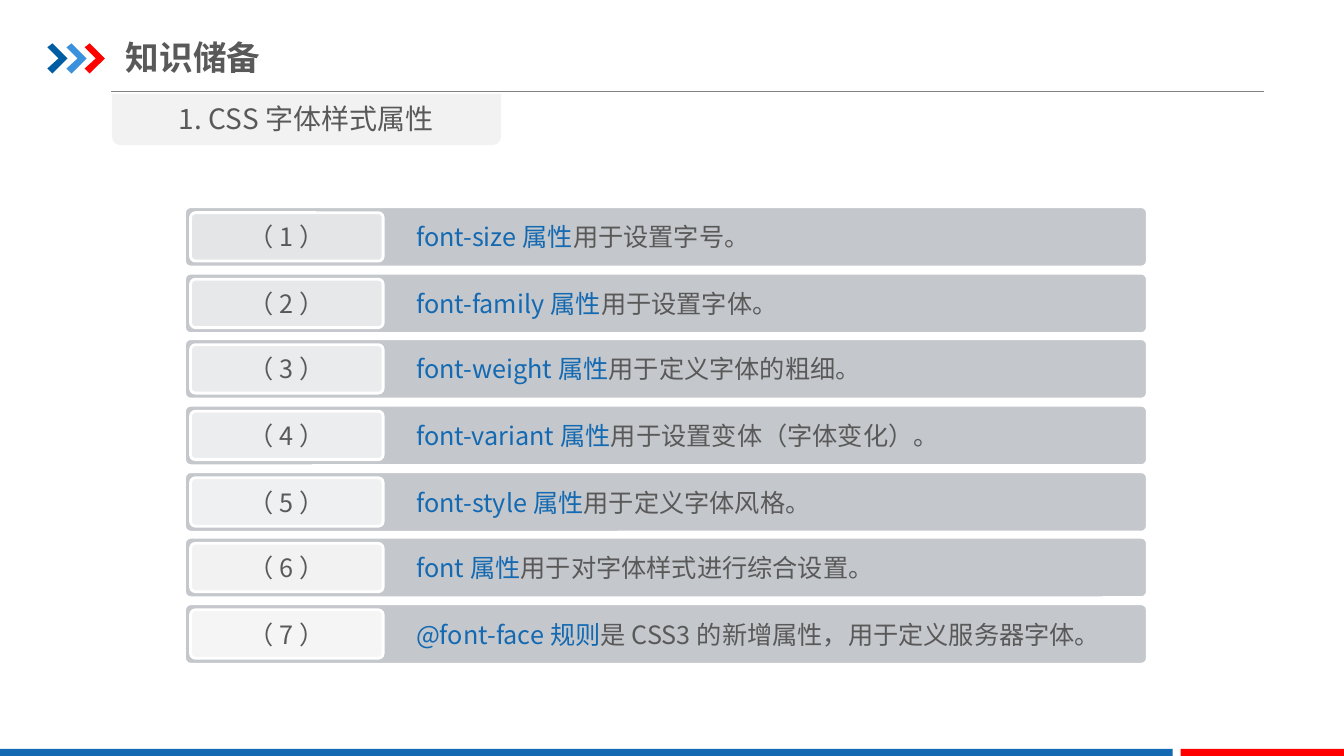
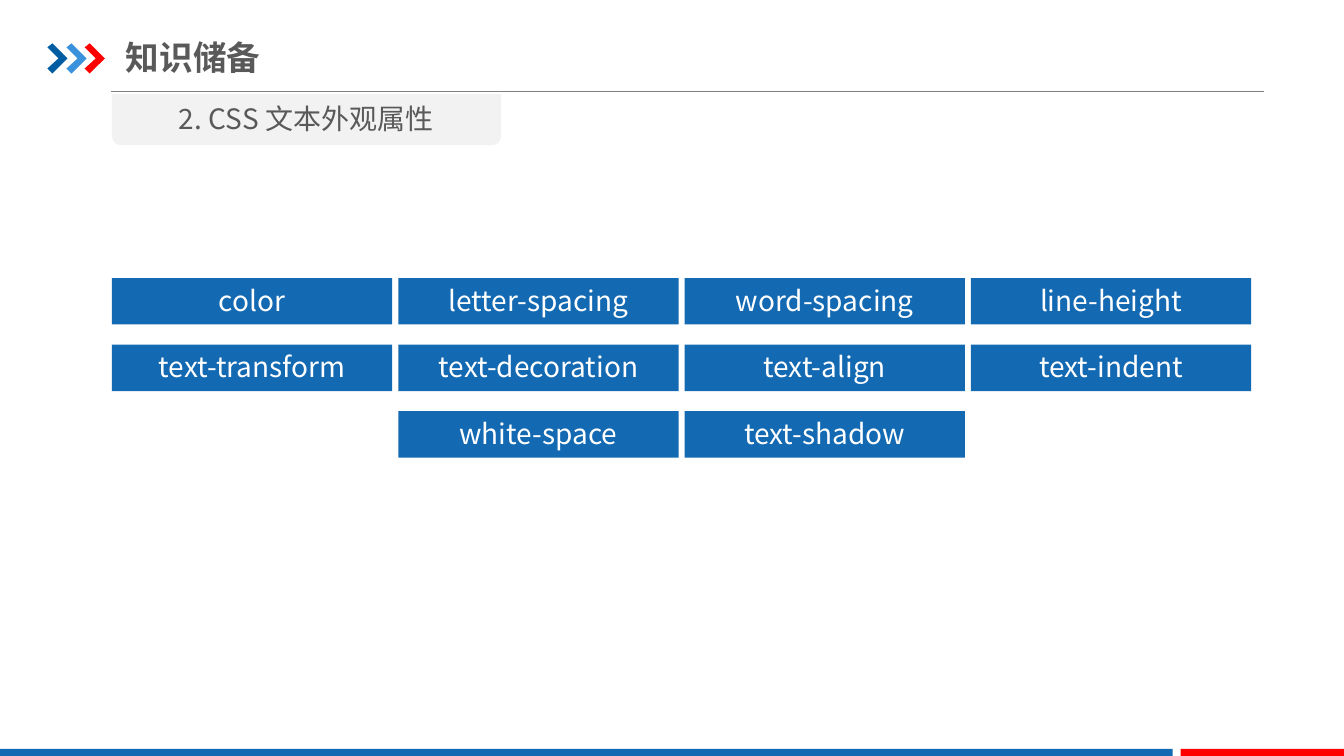
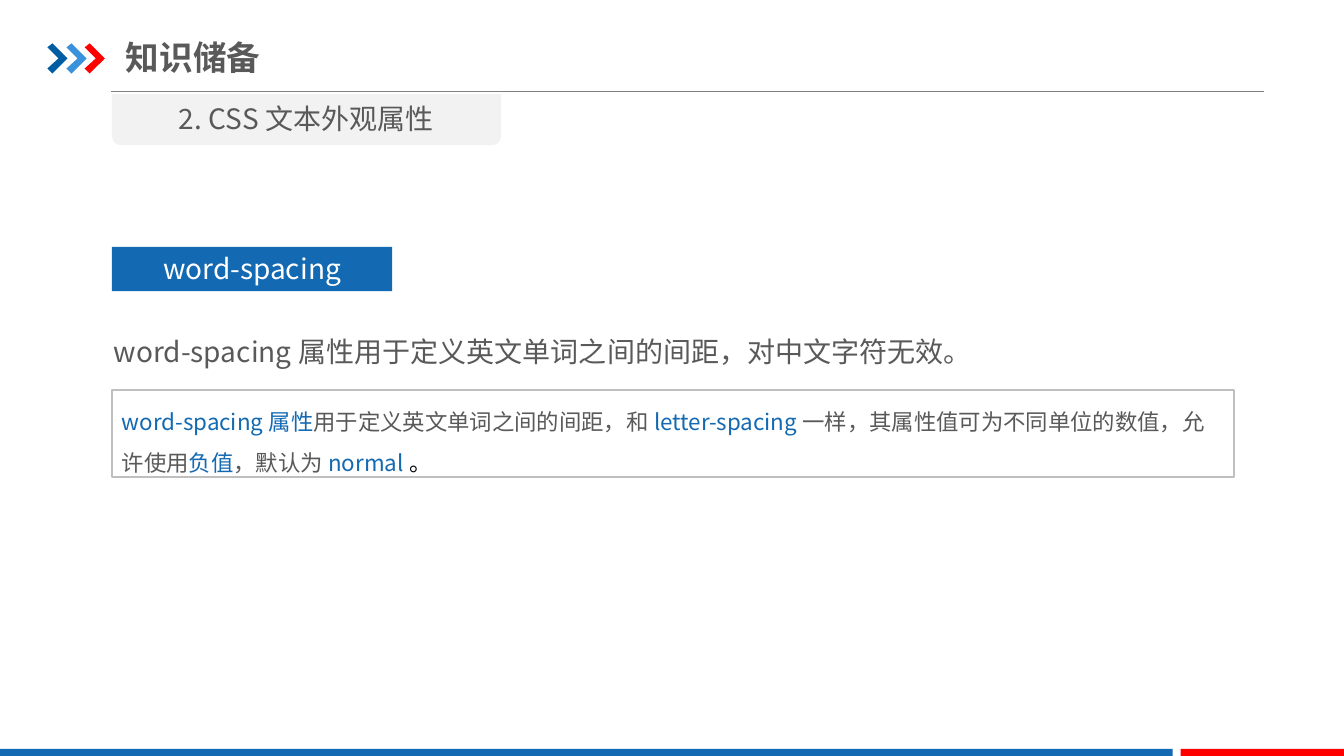
from dataclasses import dataclass

from lxml.etree import SubElement
from pptx import Presentation
from pptx.dml.color import RGBColor
from pptx.enum.shapes import MSO_CONNECTOR, MSO_SHAPE
from pptx.enum.text import MSO_ANCHOR, PP_ALIGN
from pptx.oxml.ns import qn
from pptx.util import Pt

PX = 9144


@dataclass(frozen=True)
class Theme:
    """Colours, font and type sizes shared by every slide."""
    font: str = "Noto Sans CJK SC"
    blue: str = "1369B2"
    navy: str = "005DA2"
    sky: str = "3992DB"
    red: str = "FF0000"
    ink: str = "595959"
    black: str = "000000"
    white: str = "FFFFFF"
    rule: str = "808080"
    border: str = "BFBFBF"
    tab: str = "F2F2F2"
    bar: str = "C4C7CB"
    badges: tuple = ("E4E5E7", "E7E8E9", "EAEBEC", "ECEDEE", "EFF0F1", "F2F2F3", "F5F5F6")
    title: int = 24
    heading: int = 20
    body: int = 18
    note: int = 16


T = Theme()

FONT_RULES = (
    ("font-size属性", "用于设置字号。"),
    ("font-family属性", "用于设置字体。"),
    ("font-weight属性", "用于定义字体的粗细。"),
    ("font-variant属性", "用于设置变体（字体变化）。"),
    ("font-style属性", "用于定义字体风格。"),
    ("font属性", "用于对字体样式进行综合设置。"),
    ("@font-face规则", "是CSS3的新增属性，用于定义服务器字体。"),
)

TEXT_PROPERTIES = (
    (0, ("color", "letter-spacing", "word-spacing", "line-height")),
    (0, ("text-transform", "text-decoration", "text-align", "text-indent")),
    (1, ("white-space", "text-shadow")),
)

SPACING_NOTE = (
    ("word-spacing属性", T.blue),
    ("用于定义英文单词之间的间距，和", T.ink),
    ("letter-spacing", T.blue),
    ("一样，其属性值可为不同单位的数值，允许使用", T.ink),
    ("负值", T.blue),
    ("，默认为", T.ink),
    ("normal", T.blue),
    ("。", T.black),
)


def rgb(color):
    """Turn a hex string into a colour."""
    return RGBColor.from_string(color)


def paint(sp, fill=None, line=None, width=0):
    """Set fill and outline of a shape and drop its shadow."""
    sp.shadow.inherit = False
    if fill:
        sp.fill.solid()
        sp.fill.fore_color.rgb = rgb(fill)
    else:
        sp.fill.background()
    if line:
        sp.line.color.rgb = rgb(line)
        sp.line.width = Pt(width)
    else:
        sp.line.fill.background()


def write(sp, runs, size, align=PP_ALIGN.LEFT, anchor=MSO_ANCHOR.TOP,
          insets=(10, 5, 10, 5), spacing=None, bold=None):
    """Write (text, colour) runs as one paragraph."""
    tf = sp.text_frame
    tf.word_wrap = True
    tf.vertical_anchor = anchor
    tf.margin_left, tf.margin_top, tf.margin_right, tf.margin_bottom = (
        n * PX for n in insets)
    p = tf.paragraphs[0]
    p.alignment = align
    if spacing:
        p.line_spacing = spacing
    for text, color in runs:
        r = p.add_run()
        r.text = text
        r.font.size = Pt(size)
        r.font.bold = bold
        r.font.color.rgb = rgb(color)
        r.font.name = T.font
        SubElement(r._r.get_or_add_rPr(), qn("a:ea")).set("typeface", T.font)


def add_box(s, x, y, w, h, fill=None, line=None, width=0, kind=MSO_SHAPE.RECTANGLE):
    """Add a painted preset shape."""
    sp = s.shapes.add_shape(kind, x * PX, y * PX, w * PX, h * PX)
    paint(sp, fill, line, width)
    return sp


def add_text(s, x, y, w, h, runs, size, **style):
    """Add a text box."""
    write(s.shapes.add_textbox(x * PX, y * PX, w * PX, h * PX), runs, size, **style)


def add_chevron(s, x, color):
    """Add one arrow of the title mark."""
    builder = s.shapes.build_freeform(x, 47, scale=PX)
    builder.add_line_segments(
        [(x + 5, 43), (x + 20, 58), (x + 5, 73), (x, 68), (x + 11, 58)])
    paint(builder.convert_to_shape(), color)


def add_rule(s, x1, x2, y):
    """Add the thin line under the title."""
    c = s.shapes.add_connector(MSO_CONNECTOR.STRAIGHT, x1 * PX, y * PX, x2 * PX, y * PX)
    c.line.color.rgb = rgb(T.rule)
    c.line.width = Pt(0.75)
    SubElement(c._element.spPr, qn("a:effectLst"))


def add_page(prs, heading):
    """Add a slide with title, footer bands and heading tab."""
    s = prs.slides.add_slide(prs.slide_layouts[6])
    add_rule(s, 110, 1254, 91)
    for x, color in ((47, T.navy), (66, T.sky), (84, T.red)):
        add_chevron(s, x, color)
    add_box(s, 0, 743, 1163, 9, T.blue)
    add_box(s, 1171, 743, 163, 9, T.red)
    add_text(s, 125, 29, 426, 55, [("知识储备", T.ink)], T.title,
             anchor=MSO_ANCHOR.MIDDLE, insets=(0, 7, 0, 7), bold=True)
    tab = add_box(s, 111, 93, 386, 51, T.tab, kind=MSO_SHAPE.ROUND_2_SAME_RECTANGLE)
    tab.rotation = 180
    add_text(s, 111, 96, 386, 44, [(heading, T.ink)], T.heading, align=PP_ALIGN.CENTER)
    return s


def add_row(s, y, number, name, use, badge_color):
    """Add a numbered bar with its property and use."""
    bar = add_box(s, 183, y, 955, 60, T.bar, T.white, 2, MSO_SHAPE.ROUNDED_RECTANGLE)
    badge = add_box(s, 189, y + 6, 191, 48, badge_color, T.white, 2,
                    MSO_SHAPE.ROUNDED_RECTANGLE)
    for sp in (bar, badge):
        sp.adjustments[0] = 0.1
    write(bar, [(name, T.blue), (use, T.ink)], T.body,
          anchor=MSO_ANCHOR.MIDDLE, insets=(228, 5, 10, 5))
    write(badge, [(f"（{number}）", T.ink)], T.body,
          align=PP_ALIGN.CENTER, anchor=MSO_ANCHOR.MIDDLE)


def add_tile(s, x, y, h, label):
    """Add a blue tile naming one property."""
    write(add_box(s, x, y, 278, h, T.blue), [(label, T.white)], T.heading,
          align=PP_ALIGN.CENTER)


def font_slide(prs):
    """List the font properties."""
    s = add_page(prs, "1. CSS字体样式属性")
    for i, ((name, use), color) in enumerate(zip(FONT_RULES, T.badges)):
        add_row(s, 205 + round(i * 65.67), i + 1, name, use, color)


def text_slide(prs):
    """Show the text properties as a grid of tiles."""
    s = add_page(prs, "2. CSS文本外观属性")
    for row, (first, labels) in enumerate(TEXT_PROPERTIES):
        for col, label in enumerate(labels, first):
            add_tile(s, 111 + col * 284, 276 + row * 66, 46, label)


def spacing_slide(prs):
    """Explain word-spacing."""
    s = add_page(prs, "2. CSS文本外观属性")
    add_text(s, 103, 310, 1122, 55,
             [("word-spacing属性用于定义英文单词之间的间距，对中文字符无效。", T.ink)],
             T.heading, spacing=1.5)
    write(add_box(s, 111, 387, 1113, 86, line=T.border, width=1.5),
          SPACING_NOTE, T.note, spacing=1.5)
    add_tile(s, 111, 245, 44, "word-spacing")


def main():
    """Build and save the slides."""
    prs = Presentation()
    prs.slide_width, prs.slide_height = 1333 * PX, 750 * PX
    font_slide(prs)
    text_slide(prs)
    spacing_slide(prs)
    prs.save("out.pptx")


if __name__ == "__main__":
    main()
